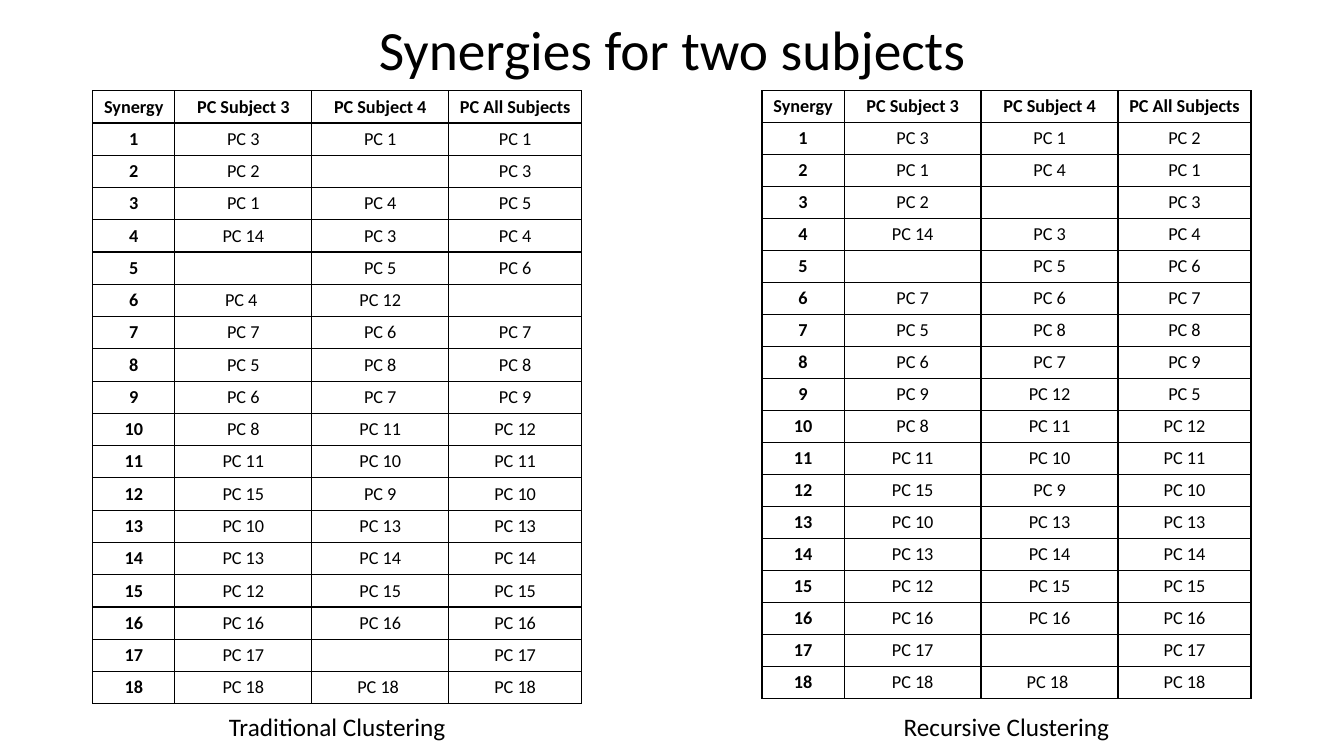
from dataclasses import dataclass

from lxml.etree import SubElement
from pptx import Presentation
from pptx.dml.color import RGBColor
from pptx.enum.text import MSO_ANCHOR, MSO_AUTO_SIZE, PP_ALIGN
from pptx.oxml.ns import qn
from pptx.util import Pt


@dataclass(frozen=True)
class Theme:
    font: str = "Calibri"
    ink: str = "000000"
    paper: str = "FFFFFF"
    title: float = 39.6
    caption: float = 18
    cell: float = 13
    rule: float = 1


THEME = Theme()
HEADERS = ["Synergy", "PC Subject 3", "PC Subject 4", "PC All Subjects"]
COLUMN_WIDTHS = [58.7, 97.8, 97.8, 95]
TABLE_TOP = 64.8
TRADITIONAL = [
    [3, 2, 1, 14, None, "4 ", 7, 5, 6, 8, 11, 15, 10, 13, 12, 16, 17, 18],
    [1, None, 4, 3, 5, 12, 6, 8, 7, 11, 10, 9, 13, 14, 15, 16, None, "18 "],
    [1, 3, 5, 4, 6, None, 7, 8, 9, 12, 11, 10, 13, 14, 15, 16, 17, 18],
]
RECURSIVE = [
    [3, 1, 2, 14, None, 7, 5, 6, 9, 8, 11, 15, 10, 13, 12, 16, 17, 18],
    [1, 4, None, 3, 5, 6, 8, 7, 12, 11, 10, 9, 13, 14, 15, 16, None, "18 "],
    [2, 1, 3, 4, 6, 7, 8, 9, 5, 12, 11, 10, 13, 14, 15, 16, 17, 18],
]


def set_format(obj, values):
    for name, value in values.items():
        setattr(obj, name, value)


def write(tf, text, size, bold=False):
    p = tf.paragraphs[0]
    p.alignment = PP_ALIGN.CENTER
    if text:
        r = p.add_run()
        r.text = text
        set_format(r.font, {"name": THEME.font, "size": Pt(size), "bold": bold})
        r.font.color.rgb = RGBColor.from_string(THEME.ink)
    return p


def add_text(s, box, text, size, frame):
    tf = s.shapes.add_textbox(*map(Pt, box)).text_frame
    set_format(tf, {"word_wrap": True, **frame})
    return write(tf, text, size)


def add_borders(cell):
    tc_pr = cell._tc.get_or_add_tcPr()
    for i, side in enumerate(("lnL", "lnR", "lnT", "lnB")):
        ln = tc_pr.makeelement(qn(f"a:{side}"), {"w": str(Pt(THEME.rule))})
        fill = SubElement(ln, qn("a:solidFill"))
        SubElement(fill, qn("a:srgbClr"), val=THEME.ink)
        tc_pr.insert(i, ln)


def add_synergy_table(s, left, row_height, columns):
    rows = [HEADERS]
    for number, values in enumerate(zip(*columns), 1):
        rows.append([str(number)] + [f"PC {v}" if v else "" for v in values])
    table = s.shapes.add_table(
        len(rows), len(HEADERS), Pt(left), Pt(TABLE_TOP),
        Pt(sum(COLUMN_WIDTHS)), Pt(row_height * len(rows)),
    ).table
    set_format(table, {"first_row": False, "horz_banding": False})
    for column, width in zip(table.columns, COLUMN_WIDTHS):
        column.width = Pt(width)
    for i, texts in enumerate(rows):
        table.rows[i].height = Pt(row_height)
        for j, text in enumerate(texts):
            cell = table.cell(i, j)
            set_format(cell, {
                "margin_left": Pt(3), "margin_right": Pt(3),
                "margin_top": 0, "margin_bottom": 0,
                "vertical_anchor": MSO_ANCHOR.MIDDLE,
            })
            cell.fill.solid()
            cell.fill.fore_color.rgb = RGBColor.from_string(THEME.paper)
            add_borders(cell)
            write(cell.text_frame, text, THEME.cell, i == 0 or j == 0)


def add_caption(s, left, text):
    add_text(s, (left, 504.7, 172, 29), text, THEME.caption,
             {"auto_size": MSO_AUTO_SIZE.SHAPE_TO_FIT_TEXT})


def main():
    prs = Presentation()
    set_format(prs, {"slide_width": Pt(960), "slide_height": Pt(540)})
    s = prs.slides.add_slide(prs.slide_layouts[6])
    p = add_text(s, (66.2, 18.7, 828, 38.2), "Synergies for two subjects",
                 THEME.title, {"vertical_anchor": MSO_ANCHOR.MIDDLE})
    p.line_spacing = 0.9
    add_synergy_table(s, 66.2, 23.07, TRADITIONAL)
    add_caption(s, 154.8, "Traditional Clustering")
    add_caption(s, 632.9, "Recursive Clustering")
    add_synergy_table(s, 544.3, 22.85, RECURSIVE)
    prs.save("out.pptx")


if __name__ == "__main__":
    main()
